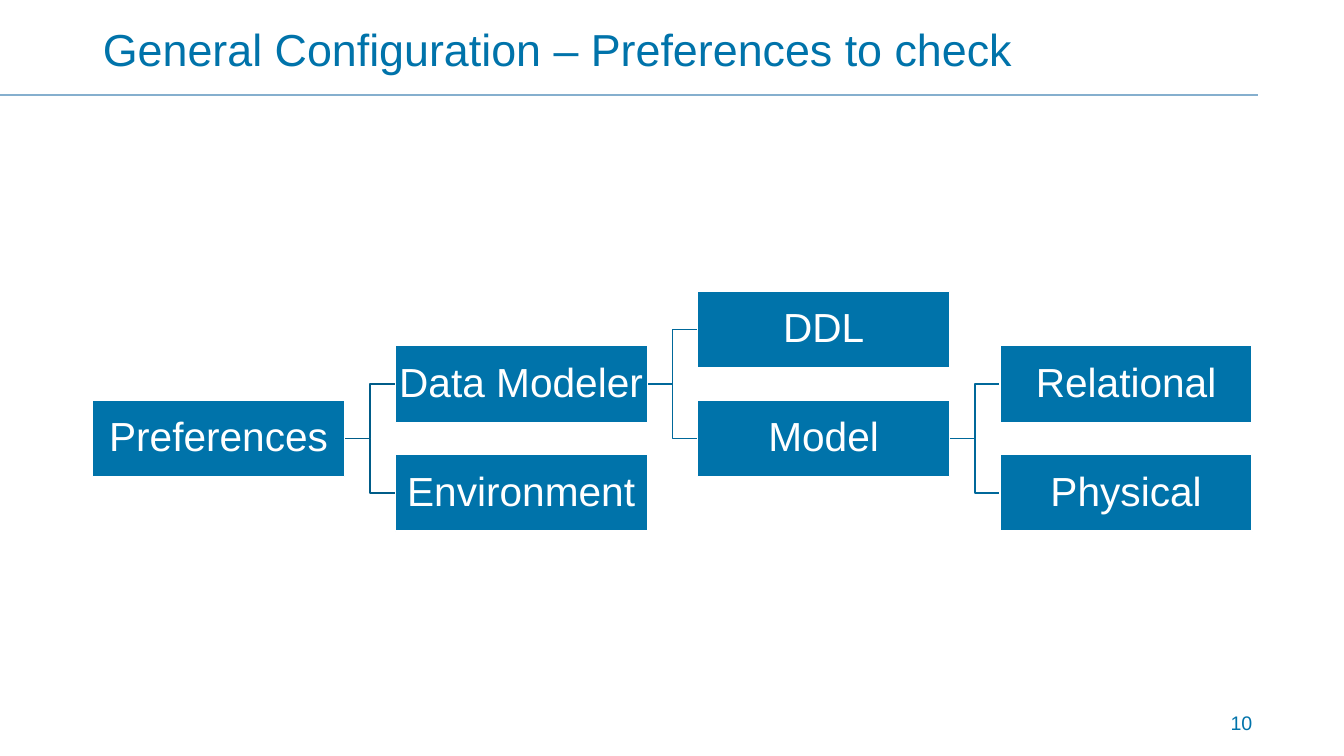
import pptx
import pptx.dml.color
import pptx.enum.shapes
import pptx.enum.text
import pptx.util
from pptx.oxml.ns import qn
import lxml.etree

COLOURS = {
    "blue": "0073AA",
    "rule": "85AFCE",
    "first_branch": "005C88",
    "later_branch": "00689A",
    "white": "FFFFFF",
}
FONT = "Arial"
TREE_LEFT, TREE_TOP = 0.92, 2.89
COLUMN_STEP, ROW_STEP = 3.0, 0.54
BOX_WIDTH, BOX_HEIGHT = 2.5, 0.76

# name, parent, column, row
NODES = [
    ("Preferences", None, 0, 2),
    ("Data Modeler", "Preferences", 1, 1),
    ("Environment", "Preferences", 1, 3),
    ("DDL", "Data Modeler", 2, 0),
    ("Model", "Data Modeler", 2, 2),
    ("Relational", "Model", 3, 1),
    ("Physical", "Model", 3, 3),
]


def inches(*lengths):
    return [pptx.util.Inches(length) for length in lengths]


def colour(name):
    return pptx.dml.color.RGBColor.from_string(COLOURS[name])


def write_text(frame, text, size, colour_name, alignment, line_spacing=None):
    paragraph = frame.paragraphs[0]
    paragraph.alignment = alignment
    paragraph.line_spacing = line_spacing
    run = paragraph.add_run()
    run.text = text
    run.font.name = FONT
    run.font.size = pptx.util.Pt(size)
    run.font.color.rgb = colour(colour_name)


def style_connector(connector, colour_name, width):
    connector.line.color.rgb = colour(colour_name)
    connector.line.width = pptx.util.Pt(width)
    lxml.etree.SubElement(connector._element.spPr, qn("a:effectLst"))


def add_title(slide, text):
    title = slide.shapes.title
    title.left, title.top, title.width, title.height = inches(0.92, 0.15, 11.5, 0.74)
    frame = title.text_frame
    frame.auto_size = pptx.enum.text.MSO_AUTO_SIZE.NONE
    frame.vertical_anchor = pptx.enum.text.MSO_ANCHOR.MIDDLE
    write_text(frame, text, 32, "blue", pptx.enum.text.PP_ALIGN.LEFT, 0.9)


def add_title_rule(slide):
    rule = slide.shapes.add_connector(
        pptx.enum.shapes.MSO_CONNECTOR.STRAIGHT, *inches(0, 0.94, 12.48, 0.94))
    style_connector(rule, "rule", 1.5)


def add_page_number(slide, number):
    box = slide.shapes.add_textbox(*inches(10.54, 7, 1.98, 0.34))
    box.text_frame.word_wrap = True
    write_text(box.text_frame, number, 14, "blue", pptx.enum.text.PP_ALIGN.RIGHT)


def add_node(slide, text, column, row):
    box = slide.shapes.add_shape(
        pptx.enum.shapes.MSO_SHAPE.RECTANGLE,
        *inches(TREE_LEFT + column * COLUMN_STEP, TREE_TOP + row * ROW_STEP,
                BOX_WIDTH, BOX_HEIGHT))
    box.shadow.inherit = False
    box.fill.solid()
    box.fill.fore_color.rgb = colour("blue")
    box.line.color.rgb = colour("white")
    box.line.width = pptx.util.Pt(1)
    frame = box.text_frame
    frame.word_wrap = True
    frame.vertical_anchor = pptx.enum.text.MSO_ANCHOR.MIDDLE
    for side in ("left", "top", "right", "bottom"):
        setattr(frame, "margin_" + side, pptx.util.Inches(0.02))
    write_text(frame, text, 29, "white", pptx.enum.text.PP_ALIGN.CENTER, 0.9)
    return box


def add_branch(slide, parent, child, colour_name):
    """Join two boxes with an elbow that lies behind both."""
    branch = slide.shapes.add_connector(
        pptx.enum.shapes.MSO_CONNECTOR.ELBOW, 0, 0, 0, 0)
    branch.begin_connect(parent, 3)
    branch.end_connect(child, 1)
    style_connector(branch, colour_name, 1)
    parent._element.addprevious(branch._element)


def add_tree(slide):
    boxes = {}
    for name, parent, column, row in NODES:
        boxes[name] = add_node(slide, name, column, row)
        if parent:
            branch_colour = "first_branch" if column == 1 else "later_branch"
            add_branch(slide, boxes[parent], boxes[name], branch_colour)


def main():
    presentation = pptx.Presentation()
    presentation.slide_width, presentation.slide_height = inches(13.33, 7.5)
    slide = presentation.slides.add_slide(presentation.slide_layouts[5])
    add_title_rule(slide)
    add_page_number(slide, "10")
    add_title(slide, "General Configuration – Preferences to check")
    add_tree(slide)
    presentation.save("out.pptx")


if __name__ == "__main__":
    main()
